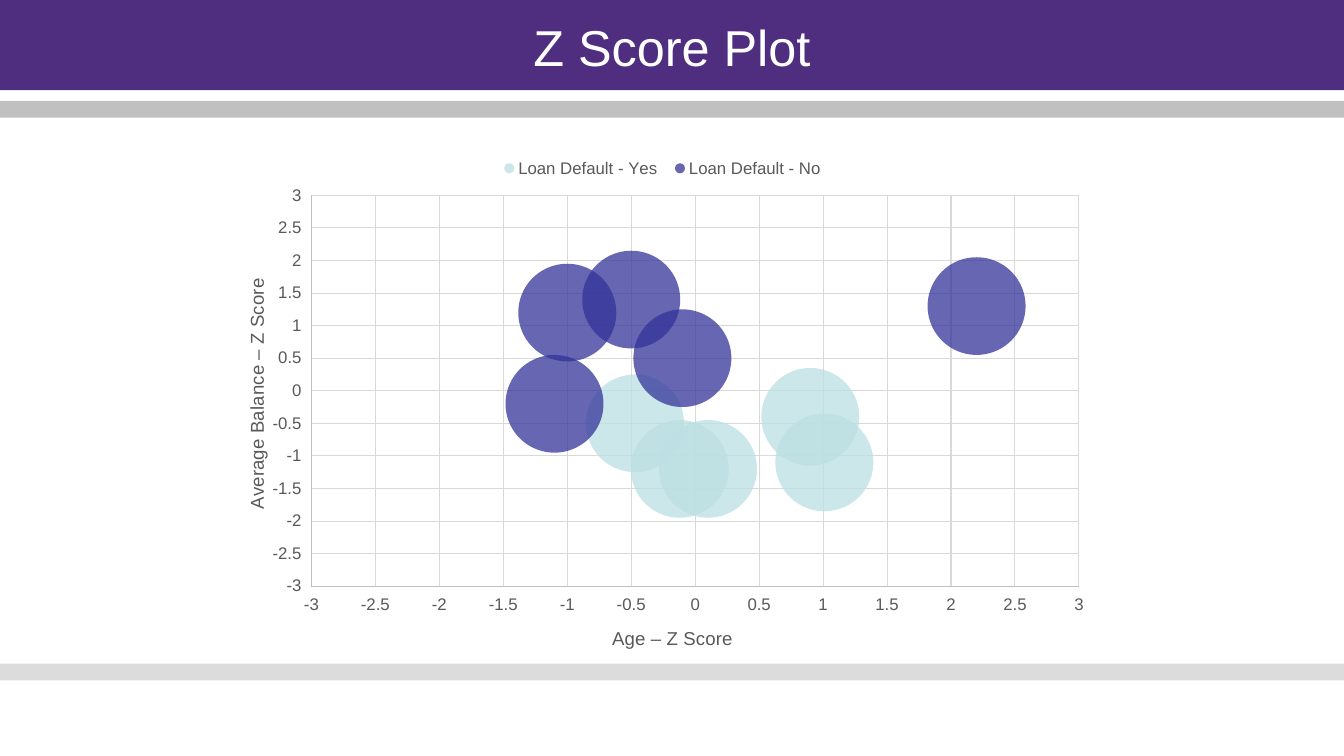
from dataclasses import dataclass

from lxml import etree
from pptx import Presentation
from pptx import util as u
from pptx.chart.data import BubbleChartData
from pptx.dml.color import RGBColor
from pptx.enum import chart as charts
from pptx.enum import shapes, text
from pptx.oxml.ns import qn

EMU_PER_PX = 9525  # 96 px to the inch
FONT = "Arial"
WHITE = RGBColor(0xFF, 0xFF, 0xFF)
PURPLE = RGBColor(0x4F, 0x2D, 0x7F)
SILVER = RGBColor(0xC0, 0xC0, 0xC0)
DARK_GRAY = RGBColor(0x59, 0x59, 0x59)
AXIS_GRAY = RGBColor(0xBF, 0xBF, 0xBF)
GRID_GRAY = RGBColor(0xD9, 0xD9, 0xD9)
PALE_TEAL = RGBColor(0xBB, 0xE0, 0xE3)
INDIGO = RGBColor(0x33, 0x33, 0x99)

SLIDE_WIDTH, SLIDE_HEIGHT = 1280, 720
BUBBLE_SIZE = 0.25
BUBBLE_OPACITY = 75


@dataclass(frozen=True)
class Band:
    top: int
    height: int
    color: RGBColor
    opacity: int = 100


@dataclass(frozen=True)
class LoanGroup:
    name: str
    color: RGBColor
    points: tuple[tuple[float, float], ...]


BANDS = (
    Band(0, 86, PURPLE),
    Band(96, 16, SILVER),
    Band(632, 16, SILVER, opacity=54),
)
LOAN_GROUPS = (
    LoanGroup("Loan Default - Yes", PALE_TEAL,
              ((-0.12, -1.2), (-0.47, -0.5), (0.9, -0.4), (1.01, -1.1), (0.1, -1.2))),
    LoanGroup("Loan Default - No", INDIGO,
              ((-1.1, -0.2), (-0.1, 0.5), (-0.5, 1.4), (2.2, 1.3), (-1, 1.2))),
)


def px(length: int) -> u.Emu:
    return u.Emu(length * EMU_PER_PX)


def format_font(font, *, size: float, color: RGBColor) -> None:
    font.name = FONT
    font.size = u.Pt(size)
    font.bold = False
    font.color.rgb = color


def write_text(text_frame, content: str, *, size: float, color: RGBColor,
               align=text.PP_ALIGN.CENTER) -> None:
    paragraph = text_frame.paragraphs[0]
    paragraph.alignment = align
    run = paragraph.add_run()
    run.text = content
    format_font(run.font, size=size, color=color)


def paint(fill, color: RGBColor, opacity: int) -> None:
    fill.solid()
    fill.fore_color.rgb = color
    if opacity < 100:
        color_element = fill._xPr.find(".//" + qn("a:srgbClr"))
        etree.SubElement(color_element, qn("a:alpha"), val=str(opacity * 1000))


def draw_band(slide, band: Band) -> None:
    shape = slide.shapes.add_shape(shapes.MSO_SHAPE.RECTANGLE, 0, px(band.top),
                                   px(SLIDE_WIDTH), px(band.height))
    shape.shadow.inherit = False
    shape.line.fill.background()
    paint(shape.fill, band.color, band.opacity)


def place(element, index: int, **fractions: float) -> None:
    """Give a chart part a manual layout in fractions of the chart."""
    layout = element.find(qn("c:layout"))
    if layout is None:
        layout = etree.Element(qn("c:layout"))
        element.insert(index, layout)
    manual = etree.SubElement(layout, qn("c:manualLayout"))
    settings = {"xMode": "edge", "yMode": "edge", **fractions}
    if element.tag == qn("c:plotArea"):
        settings = {"layoutTarget": "inner", **settings}
    for name, value in settings.items():
        etree.SubElement(manual, qn(f"c:{name}"), val=str(value))


def format_axis(axis, title: str, *, x: float, y: float, vertical: bool = False) -> None:
    axis.minimum_scale, axis.maximum_scale, axis.major_unit = -3, 3, 0.5
    axis.crosses = charts.XL_AXIS_CROSSES.MINIMUM
    axis.major_tick_mark = axis.minor_tick_mark = charts.XL_TICK_MARK.NONE
    axis.tick_label_position = charts.XL_TICK_LABEL_POSITION.LOW
    axis.tick_labels.number_format = "General"
    axis.tick_labels.number_format_is_linked = False
    format_font(axis.tick_labels.font, size=12, color=DARK_GRAY)
    axis.has_major_gridlines = True
    for line, color in ((axis.format.line, AXIS_GRAY),
                        (axis.major_gridlines.format.line, GRID_GRAY)):
        line.color.rgb = color
        line.width = u.Pt(0.75)
    axis.has_title = True
    text_frame = axis.axis_title.text_frame
    write_text(text_frame, title, size=13.3, color=DARK_GRAY)
    if vertical:
        body = text_frame._txBody.find(qn("a:bodyPr"))
        body.set("rot", "-5400000")
        body.set("vert", "horz")
    place(axis.axis_title._element, 1, x=x, y=y)


def draw_bubble_chart(slide) -> None:
    data = BubbleChartData()
    for group in LOAN_GROUPS:
        series_data = data.add_series(group.name)
        for age, balance in group.points:
            series_data.add_data_point(age, balance, BUBBLE_SIZE)
    chart = slide.shapes.add_chart(charts.XL_CHART_TYPE.BUBBLE, px(213), px(136),
                                   px(853), px(488), data).chart
    chart.has_title = False
    format_font(chart.font, size=10, color=DARK_GRAY)
    plot_area = chart._chartSpace.find(".//" + qn("c:plotArea"))

    # Bubbles
    for vary_colors in plot_area.iter(qn("c:varyColors")):
        vary_colors.set("val", "0")
    for series, group in zip(chart.plots[0].series, LOAN_GROUPS):
        paint(series.format.fill, group.color, BUBBLE_OPACITY)
        series.format.line.fill.background()

    # Axes
    format_axis(chart.category_axis, "Age – Z Score", x=0.43, y=0.94)
    format_axis(chart.value_axis, "Average Balance – Z Score", x=0.02, y=0.26,
                vertical=True)

    # Legend and plot area
    chart.has_legend = True
    chart.legend.position = charts.XL_LEGEND_POSITION.TOP
    chart.legend.include_in_layout = False
    format_font(chart.legend.font, size=12, color=DARK_GRAY)
    place(chart.legend._element, 1, x=0.3, y=0.02, w=0.38, h=0.06)
    place(plot_area, 0, x=0.098, y=0.103, w=0.857, h=0.765)


def draw_title(slide) -> None:
    title = slide.shapes.title
    title.left, title.top, title.width, title.height = px(8), px(8), px(1264), px(72)
    title.text_frame.vertical_anchor = text.MSO_ANCHOR.MIDDLE
    write_text(title.text_frame, "Z Score Plot", size=36, color=WHITE)
    slide.shapes._spTree.append(title._element)  # in front of the bands


def main() -> None:
    presentation = Presentation()
    presentation.slide_width = px(SLIDE_WIDTH)
    presentation.slide_height = px(SLIDE_HEIGHT)
    title_only = presentation.slide_layouts.get_by_name("Title Only")
    slide = presentation.slides.add_slide(title_only)
    for band in BANDS:
        draw_band(slide, band)
    draw_title(slide)
    draw_bubble_chart(slide)
    presentation.save("out.pptx")


if __name__ == "__main__":
    main()
